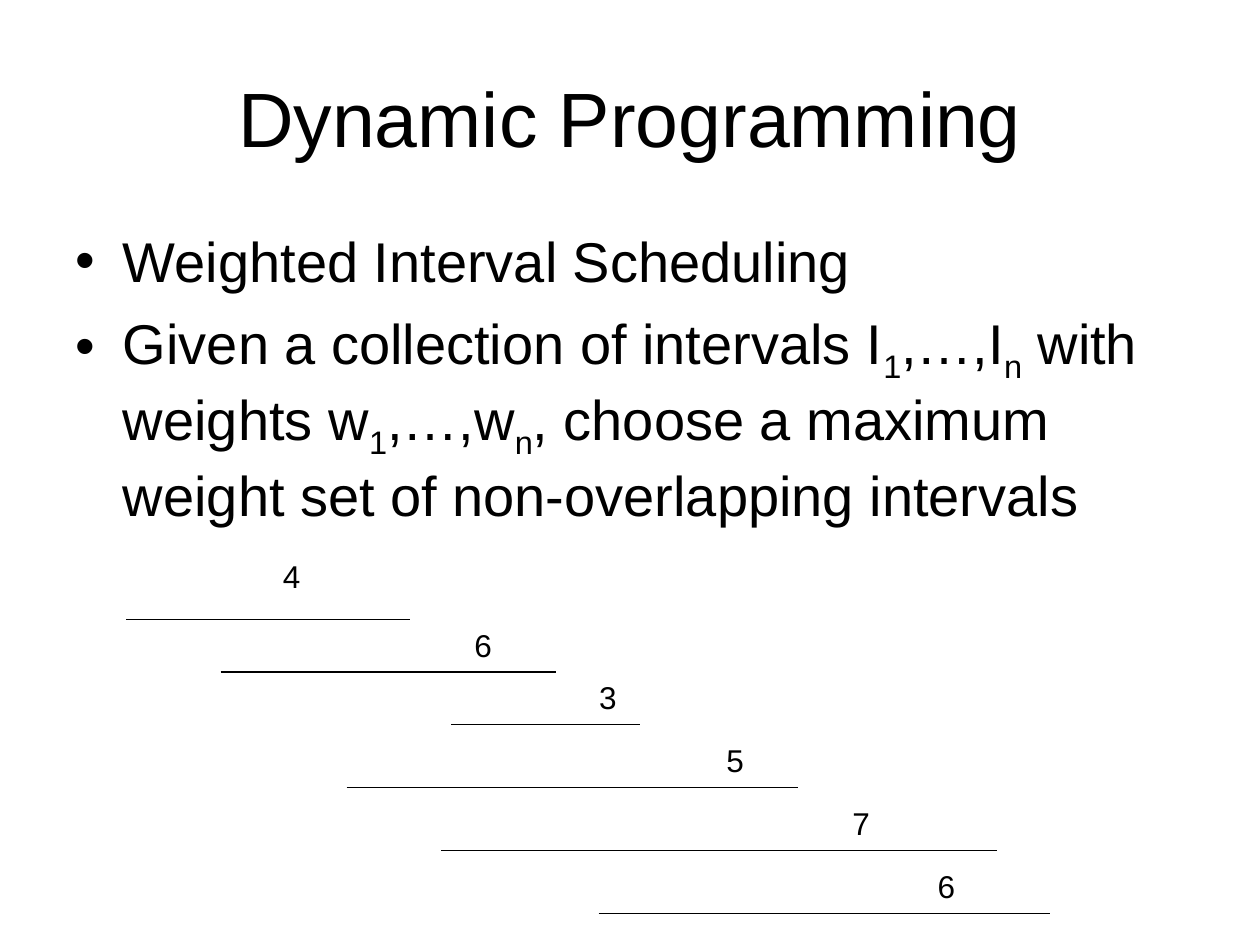
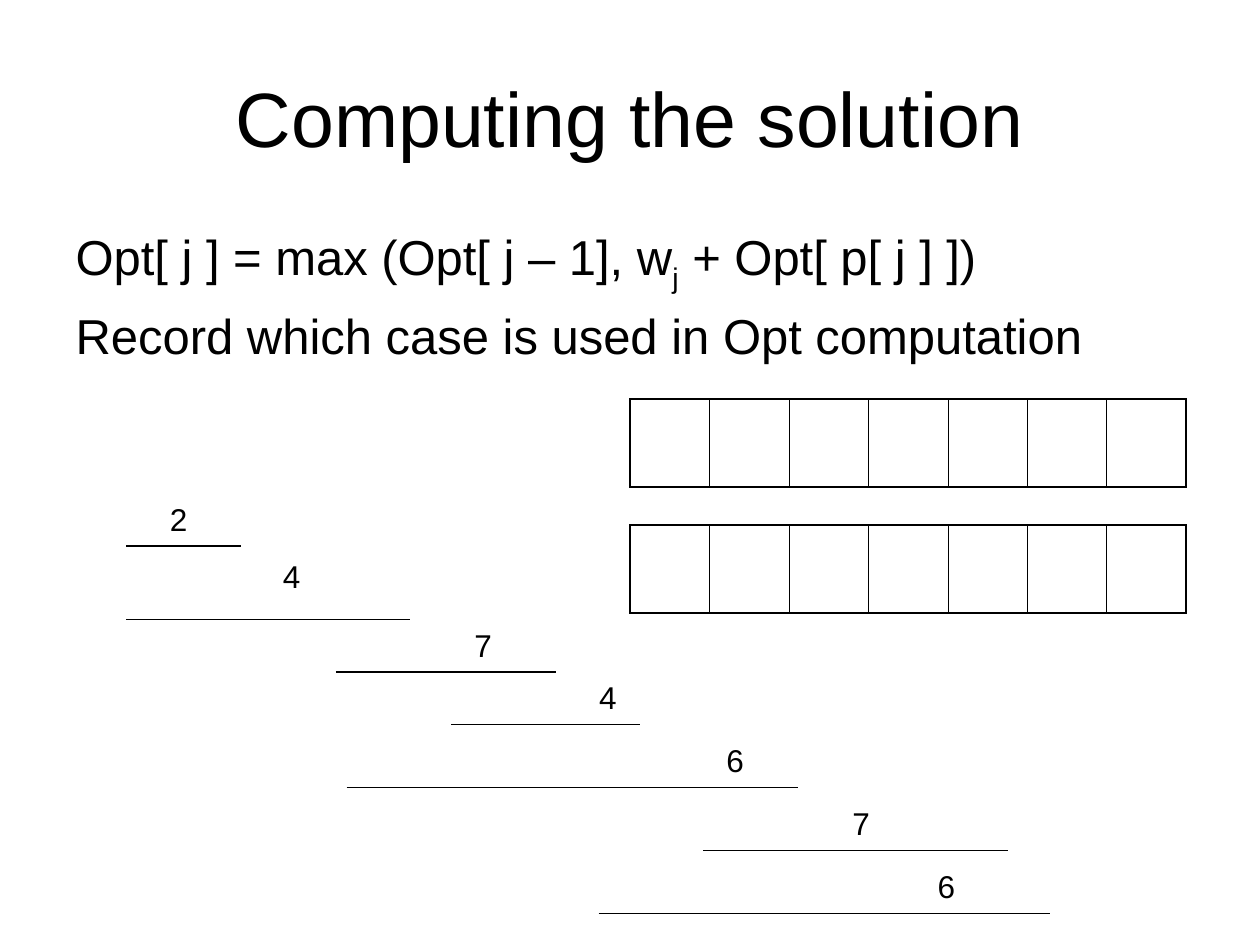
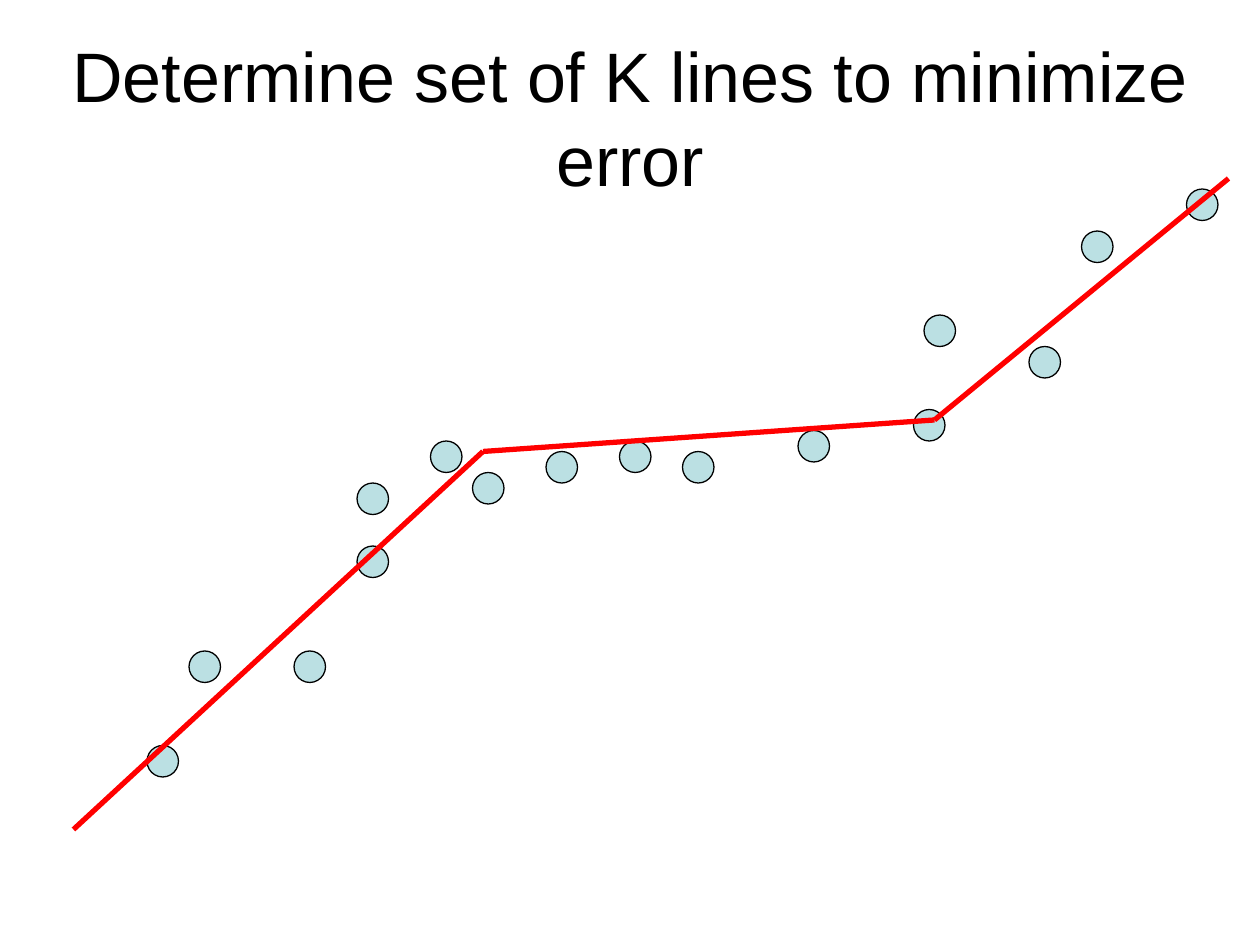
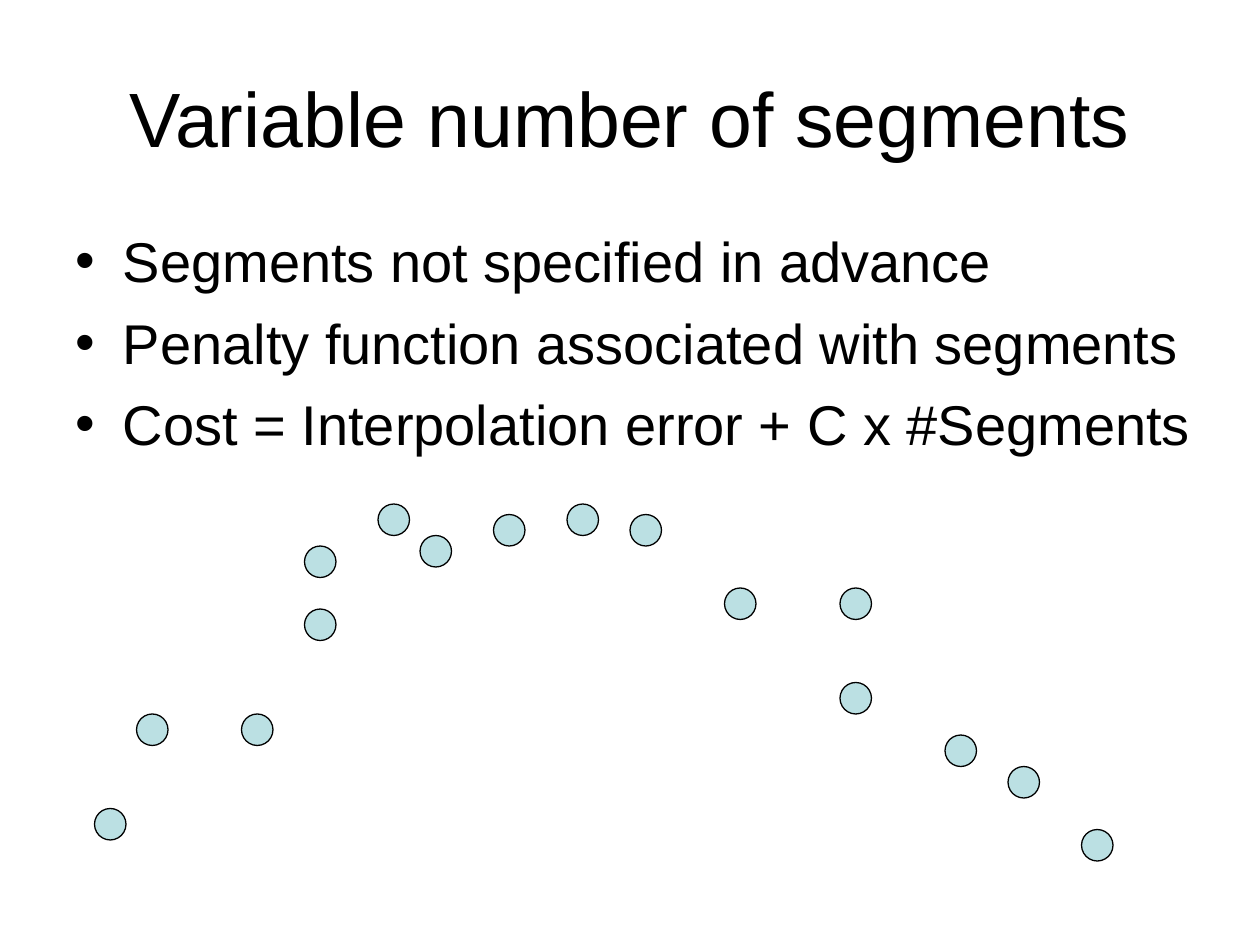
import pptx
import pptx.dml.color
import pptx.enum.shapes
import pptx.enum.text
import pptx.oxml.xmlchemy
import pptx.util

BLACK = pptx.dml.color.RGBColor(0x00, 0x00, 0x00)
RED = pptx.dml.color.RGBColor(0xFF, 0x00, 0x00)
PALE_TEAL = pptx.dml.color.RGBColor(0xBB, 0xE0, 0xE3)
FONT_NAME = "Arial"

EMU_PER_PX = 9525
GRID = 8
DOT_SIZE = 24
INDENT = 36
LABEL_SIZE = (33, 38)
TITLE_BOX = (48, 29, 864, 120)
WIDE_TITLE_BOX = (24, 29, 912, 120)
BODY_BOX = (48, 168, 864, 475)
WIDE_BODY_BOX = (48, 168, 888, 475)
INTERVAL_BOX = (96, 376)
FITTED_DOTS_BOX = (56, 136)
FREE_DOTS_BOX = (72, 384)
ARRAY_BOX = (480, 304, 424, 67)
ARRAY_STEP = 96
ARRAY_CELLS = 7
THIN_BORDER, THICK_BORDER = 0.45, 1.08

MIDDLE_TITLE = {
    "vertical_anchor": pptx.enum.text.MSO_ANCHOR.MIDDLE,
    "auto_size": pptx.enum.text.MSO_AUTO_SIZE.NONE,
    "word_wrap": True,
}
TOP_BODY = {**MIDDLE_TITLE, "vertical_anchor": pptx.enum.text.MSO_ANCHOR.TOP}
LABEL_FRAME = {
    "word_wrap": False,
    "auto_size": pptx.enum.text.MSO_AUTO_SIZE.SHAPE_TO_FIT_TEXT,
}

INTERVAL_ROWS = [
    (40, 24, 0), (96, 110, 44), (136, 256, 96), (176, 351, 136),
    (224, 448, 184), (272, 544, 232), (320, 609, 280),
]
FIRST_INTERVALS = [
    (0, 216, "4"), (72, 328, "6"), (248, 392, "3"),
    (168, 512, "5"), (240, 664, "7"), (360, 704, "6"),
]
SECOND_INTERVALS = [
    (0, 88, "2"), (0, 216, "4"), (160, 328, "7"), (248, 392, "4"),
    (168, 512, "6"), (440, 672, "7"), (360, 704, "6"),
]
FITTED_DOTS = [
    (11, 45), (27, 29), (34, 25), (21, 45), (58, 26), (7, 54), (38, 28), (45, 26),
    (27, 35), (80, 22), (81, 13), (91, 16), (96, 5), (52, 25), (106, 1), (69, 24),
]
FITTED_CORNERS = [(0, 62), (39, 26), (82, 23), (110, 0)]
FREE_DOTS = [
    (4, 20), (20, 4), (27, 0), (14, 20), (51, 1), (0, 29), (31, 3), (38, 1),
    (20, 10), (71, 17), (71, 8), (81, 22), (87, 25), (45, 0), (94, 31), (60, 8),
]


def px(length):
    return pptx.util.Emu(length * EMU_PER_PX)


def set_values(target, values):
    for name, value in values.items():
        setattr(target, name, value)


def make_element(tag, **attributes):
    element = pptx.oxml.xmlchemy.OxmlElement(tag)
    for name, value in attributes.items():
        element.set(name, str(value))
    return element


def place(shape, box):
    set_values(shape, dict(zip(("left", "top", "width", "height"), map(px, box))))


def add_run(paragraph, text, size, subscript=False):
    run = paragraph.add_run()
    run.text = text
    set_values(run.font, {"name": FONT_NAME, "size": pptx.util.Pt(size)})
    run.font.color.rgb = BLACK
    if subscript:
        run.font._element.set("baseline", "-25000")


def add_title(slide, text, box=TITLE_BOX, size=44):
    title = slide.shapes.title
    place(title, box)
    set_values(title.text_frame, MIDDLE_TITLE)
    paragraph = title.text_frame.paragraphs[0]
    paragraph.alignment = pptx.enum.text.PP_ALIGN.CENTER
    add_run(paragraph, text, size)


def add_body(slide, items, box=BODY_BOX, size=32, space_before=8, bulleted=True):
    body = slide.placeholders[1]
    place(body, box)
    frame = body.text_frame
    set_values(frame, TOP_BODY)
    for index, item in enumerate(items):
        paragraph = frame.add_paragraph() if index else frame.paragraphs[0]
        paragraph.space_before = pptx.util.Pt(space_before)
        properties = paragraph._p.get_or_add_pPr()
        properties.set("marL", str(px(INDENT)))
        properties.set("indent", str(px(-INDENT)))
        bullet = make_element("a:buChar", char="•") if bulleted else make_element("a:buNone")
        properties.append(bullet)
        for position, text in enumerate(item):
            add_run(paragraph, text, size, subscript=position % 2 == 1)


def add_line(slide, start, end, color=BLACK, width=0.75):
    line = slide.shapes.add_connector(
        pptx.enum.shapes.MSO_CONNECTOR.STRAIGHT, *map(px, start + end))
    line.line.color.rgb = color
    line.line.width = pptx.util.Pt(width)
    line._element.spPr.append(make_element("a:effectLst"))


def add_intervals(slide, box, intervals):
    left, top = box
    rows = INTERVAL_ROWS[-len(intervals):]
    for (start, end, weight), (line_y, label_x, label_y) in zip(intervals, rows):
        add_line(slide, (left + start, top + line_y), (left + end, top + line_y))
        label = slide.shapes.add_textbox(
            *map(px, (left + label_x, top + label_y) + LABEL_SIZE))
        set_values(label.text_frame, LABEL_FRAME)
        add_run(label.text_frame.paragraphs[0], weight, 18)


def add_cell_border(cell, side, width):
    border = make_element(f"a:ln{side}", w=pptx.util.Pt(width))
    fill = make_element("a:solidFill")
    fill.append(make_element("a:srgbClr", val=BLACK))
    border.append(fill)
    cell._tc.get_or_add_tcPr().append(border)


def add_array(slide, box):
    table = slide.shapes.add_table(1, ARRAY_CELLS, *map(px, box)).table
    set_values(table, {"first_row": False, "horz_banding": False})
    for index, column in enumerate(table.columns):
        column.width = px(box[2]) // ARRAY_CELLS
        cell = table.cell(0, index)
        borders = {
            "L": THICK_BORDER if index == 0 else THIN_BORDER,
            "R": THICK_BORDER if index == ARRAY_CELLS - 1 else THIN_BORDER,
            "T": THICK_BORDER,
            "B": THICK_BORDER,
        }
        for side, width in borders.items():
            add_cell_border(cell, side, width)
        cell.fill.background()


def add_dots(slide, box, dots):
    left, top = box
    for column, row in dots:
        dot = slide.shapes.add_shape(
            pptx.enum.shapes.MSO_SHAPE.OVAL,
            px(left + column * GRID), px(top + row * GRID), px(DOT_SIZE), px(DOT_SIZE))
        dot.shadow.inherit = False
        dot.fill.solid()
        dot.fill.fore_color.rgb = PALE_TEAL
        dot.line.color.rgb = BLACK
        dot.line.width = pptx.util.Pt(0.75)


def add_fitted_lines(slide, box, corners):
    left, top = box
    points = [(left + column * GRID, top + row * GRID) for column, row in corners]
    for start, end in zip(points, points[1:]):
        add_line(slide, start, end, RED, 3)


def build_scheduling_slide(presentation):
    slide = presentation.slides.add_slide(presentation.slide_layouts[1])
    add_title(slide, "Dynamic Programming")
    add_body(slide, [
        ["Weighted Interval Scheduling"],
        ["Given a collection of intervals I", "1", ",…,I", "n", " with weights w", "1",
         ",…,w", "n", ", choose a maximum weight set of non-overlapping intervals"],
    ])
    add_intervals(slide, INTERVAL_BOX, FIRST_INTERVALS)


def build_solution_slide(presentation):
    slide = presentation.slides.add_slide(presentation.slide_layouts[1])
    add_title(slide, "Computing the solution")
    add_body(slide, [
        ["Opt[ j ] = max (Opt[ j – 1], w", "j", " + Opt[ p[ j ] ])"],
        ["Record which case is used in Opt computation"],
    ], size=28, space_before=7, bulleted=False)
    add_intervals(slide, INTERVAL_BOX, SECOND_INTERVALS)
    left, top, width, height = ARRAY_BOX
    for row in range(2):
        add_array(slide, (left, top + row * ARRAY_STEP, width, height))


def build_fitted_slide(presentation):
    slide = presentation.slides.add_slide(presentation.slide_layouts[5])
    add_title(slide, "Determine set of K lines to minimize error", WIDE_TITLE_BOX, 40)
    add_dots(slide, FITTED_DOTS_BOX, FITTED_DOTS)
    add_fitted_lines(slide, FITTED_DOTS_BOX, FITTED_CORNERS)


def build_segments_slide(presentation):
    slide = presentation.slides.add_slide(presentation.slide_layouts[1])
    add_title(slide, "Variable number of segments")
    add_body(slide, [
        ["Segments not specified in advance"],
        ["Penalty function associated with segments"],
        ["Cost = Interpolation error + C x #Segments"],
    ], WIDE_BODY_BOX)
    add_dots(slide, FREE_DOTS_BOX, FREE_DOTS)


def main():
    presentation = pptx.Presentation()
    set_values(presentation, {"slide_width": px(960), "slide_height": px(720)})
    build_scheduling_slide(presentation)
    build_solution_slide(presentation)
    build_fitted_slide(presentation)
    build_segments_slide(presentation)
    presentation.save("out.pptx")


if __name__ == "__main__":
    main()
